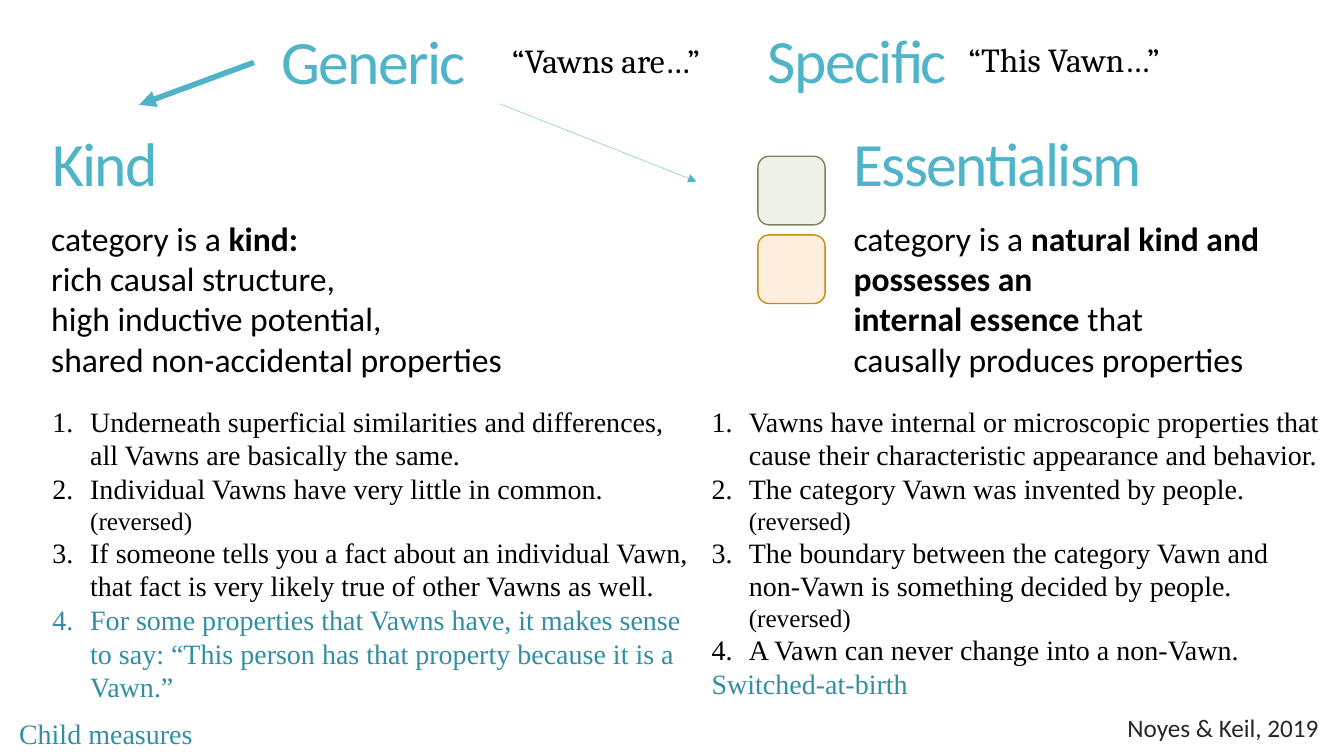
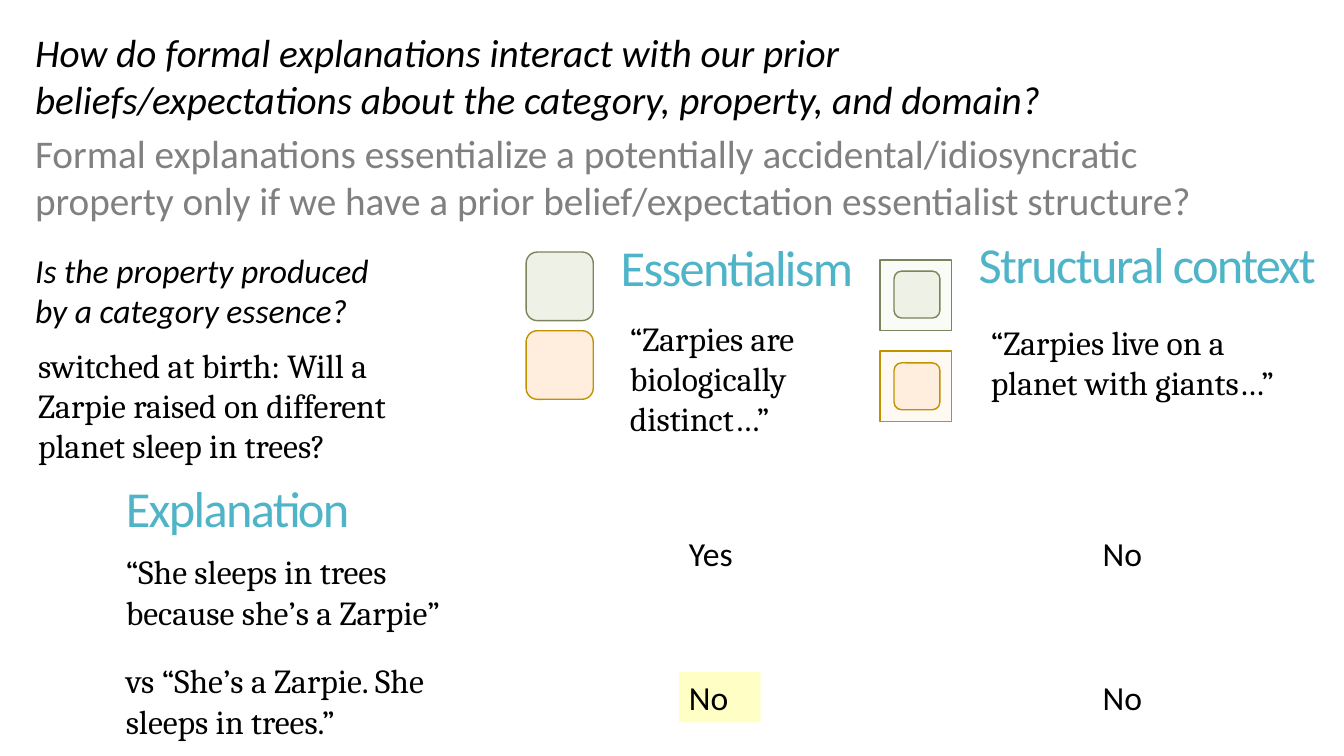
"""Build two slides on kinds, essentialism and formal explanations."""
from dataclasses import dataclass, field

from lxml import etree
from pptx import Presentation
from pptx.dml.color import RGBColor
from pptx.enum import shapes, text
from pptx.oxml.ns import qn
from pptx.util import Pt


@dataclass
class Theme:
    teal: str = "50B4C8"
    deep_teal: str = "328EA0"
    black: str = "000000"
    grey: str = "808080"
    charcoal: str = "262626"
    highlight: str = "FFFFC5"
    green: tuple = ("EEF1E5", "F9FBF7", "7A855D")
    orange: tuple = ("FFEEDD", "FFF9F3", "C09200")
    tracking: str = "-120"
    tight: float = 0.85
    styles: dict = field(default_factory=dict)


theme = Theme()
theme.styles = {
    "heading": (theme.teal, {"name": "Calibri", "size": Pt(44)}),
    "subheading": (theme.teal, {"name": "Calibri", "size": Pt(36)}),
    "question": (theme.black, {"name": "Calibri", "size": Pt(28), "italic": True}),
    "claim": (theme.grey, {"name": "Calibri", "size": Pt(28)}),
    "body": (theme.black, {"name": "Calibri", "size": Pt(24)}),
    "strong": (theme.black, {"name": "Calibri", "size": Pt(24), "bold": True}),
    "aside": (theme.black, {"name": "Calibri", "size": Pt(24), "italic": True}),
    "quote": (theme.black, {"name": "Cambria", "size": Pt(24)}),
    "item": (theme.black, {"name": "Times New Roman", "size": Pt(20)}),
    "note": (theme.black, {"name": "Times New Roman", "size": Pt(18)}),
    "measure": (theme.deep_teal, {"name": "Times New Roman", "size": Pt(20)}),
    "citation": (theme.charcoal, {"name": "Calibri", "size": Pt(18)}),
}


def write(box, place, paragraphs, numbered=0, indent=27):
    """Place a box and fill it with paragraphs of (text, style) spans."""
    for name, value in zip(("left", "top", "width", "height"), place):
        setattr(box, name, Pt(value))
    first_style = paragraphs[0][0][1]
    is_heading = first_style in ("heading", "subheading")
    is_citation = first_style == "citation"
    frame = box.text_frame
    frame_format = {
        "word_wrap": True,
        "auto_size": text.MSO_AUTO_SIZE.NONE,
        "vertical_anchor": text.MSO_ANCHOR.MIDDLE if is_heading else text.MSO_ANCHOR.TOP,
        "margin_left": Pt(7.2), "margin_right": Pt(7.2),
        "margin_top": Pt(3.6), "margin_bottom": Pt(3.6),
    }
    for name, value in frame_format.items():
        setattr(frame, name, value)
    for index, spans in enumerate(paragraphs):
        para = frame.add_paragraph() if index else frame.paragraphs[0]
        para_format = {
            "alignment": text.PP_ALIGN.RIGHT if is_citation else text.PP_ALIGN.LEFT,
            "line_spacing": theme.tight if is_heading or is_citation else 1.0,
            "space_before": Pt(13 if is_citation else 0),
        }
        for name, value in para_format.items():
            setattr(para, name, value)
        if numbered:
            is_item = index < numbered
            props = para._p.get_or_add_pPr()
            props.set("marL", str(Pt(indent if is_item else 0)))
            props.set("indent", str(Pt(-indent if is_item else 0)))
            bullet = etree.SubElement(props, qn("a:buAutoNum" if is_item else "a:buNone"))
            if is_item:
                bullet.set("type", "arabicPeriod")
        for words, style in spans:
            colour, font_format = theme.styles[style]
            for number, line in enumerate(words.split("\n")):
                if number:
                    para.add_line_break()
                span = para.add_run()
                span.text = line
                for name, value in {"bold": False, "italic": False, **font_format}.items():
                    setattr(span.font, name, value)
                span.font.color.rgb = RGBColor.from_string(colour)
                if is_heading:
                    span._r.get_or_add_rPr().set("spc", theme.tracking)


def draw(page, kind, place, fill, line=None):
    """Add a flat preset shape."""
    shape = page.shapes.add_shape(kind, *map(Pt, place))
    shape.shadow.inherit = False
    shape.fill.solid()
    shape.fill.fore_color.rgb = RGBColor.from_string(fill)
    if line:
        shape.line.color.rgb = RGBColor.from_string(line)
        shape.line.width = Pt(1)
    else:
        shape.line.fill.background()
    return shape


deck = Presentation()
deck.slide_width, deck.slide_height = Pt(960), Pt(540)
kinds = deck.slides.add_slide(deck.slide_layouts.get_by_name("Two Content"))
effects = deck.slides.add_slide(deck.slide_layouts.get_by_name("Title Only"))

rounded = shapes.MSO_SHAPE.ROUNDED_RECTANGLE
square = shapes.MSO_SHAPE.RECTANGLE
swatches = [
    (kinds, rounded, 541.4, 111.6, 48, 49, 56.2, 0),
    (effects, rounded, 375.8, 180, 48, 49, 56.2, 0),
    (effects, square, 628.6, 185.8, 51.1, 50.4, 64.8, 1),
    (effects, rounded, 638.6, 193.7, 32.8, 33.5, 65.5, 0),
]
for page, kind, left, top, width, height, step, tint in swatches:
    for row, palette in enumerate((theme.green, theme.orange)):
        draw(page, kind, (left, top + row * step, width, height), palette[tint], palette[2])

write(kinds.shapes.title, (193.7, 19.4, 195.8, 55.4), [[("Generic", "heading")]])
kind_list, essence_list = list(kinds.placeholders)[1:3]
write(kind_list, (30.2, 285.1, 471.6, 223.2), [
    [("Underneath superficial similarities and differences, all Vawns are basically the same.", "item")],
    [("Individual Vawns have very little in common. ", "item"), ("(reversed)", "note")],
    [("If someone tells you a fact about an individual Vawn, that fact is very likely true "
      "of other Vawns as well.", "item")],
    [("For some properties that Vawns have, it makes sense to say: “This person has that "
      "property because it is a Vawn.”", "measure")],
], numbered=4)
write(essence_list, (501.1, 285.1, 452.2, 220.3), [
    [("Vawns have internal or microscopic properties that cause their characteristic "
      "appearance and behavior.", "item")],
    [("The category Vawn was invented by people. ", "item"), ("(reversed)", "note")],
    [("The boundary between the category Vawn and non-Vawn is something decided by people. ", "item"),
     ("(reversed)", "note")],
    [("A Vawn can never change into a non-Vawn.", "item")],
    [("Switched-at-birth", "measure")],
], numbered=4, indent=26.6)

definitions = [
    ((29.5, 151.9, 360, 123.8), [
        [("category is a ", "body"), ("kind:", "strong")],
        [("rich causal structure,\nhigh inductive potential,\n"
          "shared non-accidental properties", "body")]]),
    ((602.6, 151.9, 310.3, 123.8), [
        [("category is a ", "body"),
         ("natural kind and possesses an\ninternal essence ", "strong"),
         ("that\ncausally produces properties", "body")]]),
]
for place, paragraphs in definitions:
    write(kinds.shapes.add_textbox(0, 0, 0, 0), place, paragraphs)

write(effects.shapes.title, (691.9, 159.8, 355.7, 64.1), [[("Structural context", "subheading")]])
labels = [
    (kinds, (541.4, 18.7, 195.8, 55.4), "Specific", "heading"),
    (kinds, (30.2, 87.1, 133.2, 64.8), "Kind", "heading"),
    (kinds, (602.6, 87.1, 254.9, 64.8), "Essentialism", "heading"),
    (kinds, (358.6, 25.2, 155.5, 36), "“Vawns are…”", "quote"),
    (kinds, (684.7, 24.5, 161.3, 36), "“This Vawn…”", "quote"),
    (kinds, (432, 508.3, 517, 31), "Noyes & Keil, 2019", "citation"),
    (kinds, (6.5, 508.3, 151.9, 31.7), "Child measures", "measure"),
    (effects, (18, 16.6, 791.3, 74.9), "How do formal explanations interact with our prior "
     "beliefs/expectations about the category, property, and domain?", "question"),
    (effects, (18, 88.6, 882.7, 74.9), "Formal explanations essentialize a potentially "
     "accidental/idiosyncratic property only if we have a prior belief/expectation "
     "essentialist structure?", "claim"),
    (effects, (18, 175, 275, 65.5), "Is the property produced by a category essence?", "aside"),
    (effects, (20.2, 242.6, 314.6, 94.3),
     "switched at birth: Will a Zarpie raised on different planet sleep in trees?", "quote"),
    (effects, (436.3, 161.3, 254.9, 64.8), "Essentialism", "subheading"),
    (effects, (442.8, 223.2, 193, 94.3), "“Zarpies are biologically distinct…”", "quote"),
    (effects, (700.6, 226.1, 244.1, 65.5), "“Zarpies live on a planet with giants…”", "quote"),
    (effects, (82.8, 294.5, 384.5, 142.6), "Explanation", "subheading"),
    (effects, (82.8, 390.2, 259.9, 65.5), "“She sleeps in trees because she’s a Zarpie”", "quote"),
    (effects, (82.8, 468, 228.2, 65.5), "vs “She’s a Zarpie. She sleeps in trees.”", "quote"),
]
for page, place, words, style in labels:
    write(page.shapes.add_textbox(0, 0, 0, 0), place, [[(words, style)]])

answers = [("Yes", "No"), ("No", "No")]
for row, line in enumerate(answers):
    for column, answer in enumerate(line):
        place = (485 + column * 295.5, 377 + row * 103, 58.3, 36)
        if (row, column) == (1, 0):
            cell = draw(effects, square, place, theme.highlight)
        else:
            cell = effects.shapes.add_textbox(0, 0, 0, 0)
        write(cell, place, [[(answer, "body")]])

arrows = [((181.4, 44.6), (99.4, 74.9), 4), ((357.1, 74.2), (497.5, 129.6), 0.25)]
for start, end, weight in arrows:
    arrow = kinds.shapes.add_connector(shapes.MSO_CONNECTOR.STRAIGHT, *map(Pt, start + end))
    arrow.line.color.rgb = RGBColor.from_string(theme.teal)
    arrow.line.width = Pt(weight)
    outline = arrow._element.spPr
    etree.SubElement(outline.find(qn("a:ln")), qn("a:tailEnd"), type="triangle")
    etree.SubElement(outline, qn("a:effectLst"))

deck.save("out.pptx")
